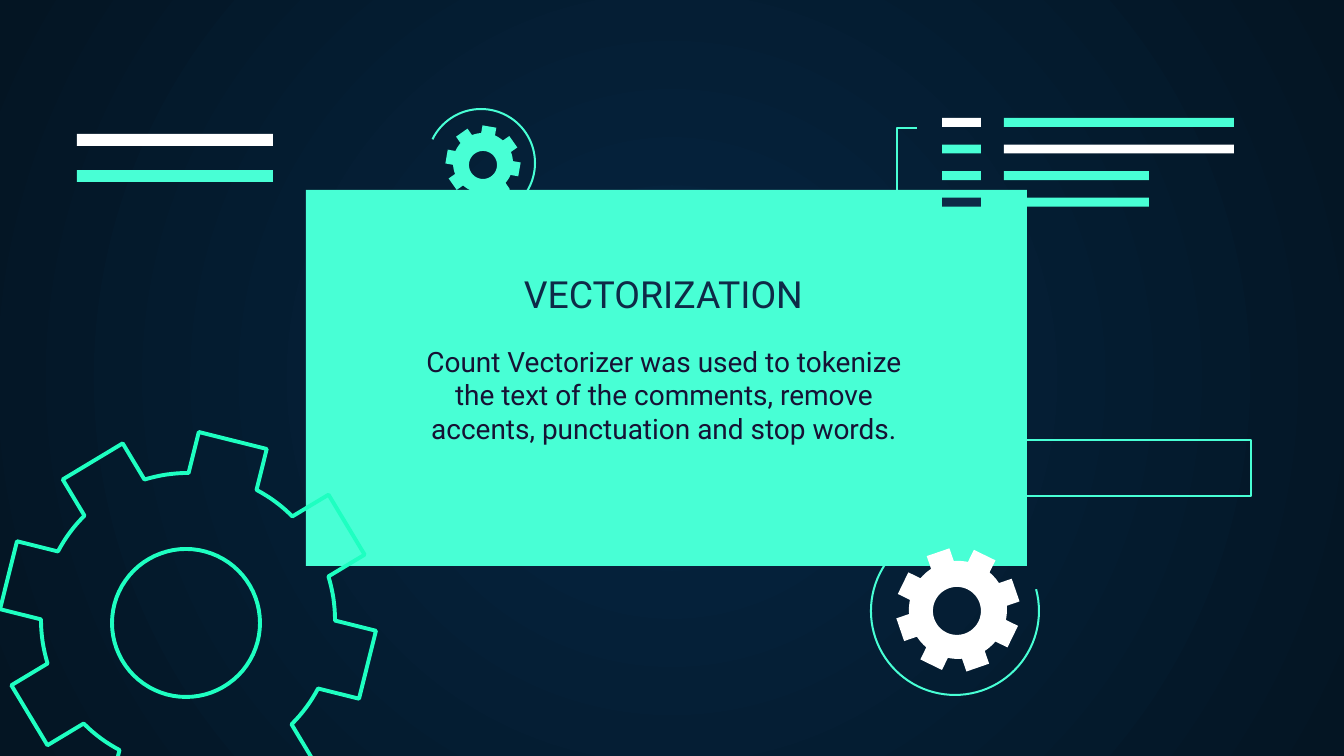
from dataclasses import dataclass
from math import asin, cos, pi, radians, sin

from lxml import etree
from pptx import Presentation
from pptx.dml.color import RGBColor
from pptx.enum.shapes import MSO_SHAPE
from pptx.enum.text import MSO_ANCHOR, PP_ALIGN
from pptx.oxml.ns import qn
from pptx.util import Emu, Pt

EMU_PER_PX = 914400 / 134.4
TEETH = 8


@dataclass(frozen=True)
class Theme:
    mint: str = "48FFD5"
    bright_mint: str = "1EFFC1"
    white: str = "FFFFFF"
    navy: str = "0E2A47"
    ink: str = "161234"
    glow: str = "052643"
    night: str = "041523"
    font: str = "Roboto"
    title_size: float = 20
    body_size: float = 15
    thin: float = 1.09
    thick: float = 2.1


THEME = Theme()


def px(value):
    return Emu(round(value * EMU_PER_PX))


def rgb(color):
    return RGBColor.from_string(color)


def style(shape, fill=None, line=None, width=THEME.thin):
    shape.shadow.inherit = False
    if fill:
        shape.fill.solid()
        shape.fill.fore_color.rgb = rgb(fill)
    else:
        shape.fill.background()
    if line:
        shape.line.color.rgb = rgb(line)
        shape.line.width = Pt(width)
    else:
        shape.line.fill.background()


def add_background(slide):
    fill = slide.background.fill
    fill.gradient()
    for stop, color in zip(fill.gradient_stops, (THEME.glow, THEME.night)):
        stop.color.rgb = rgb(color)
    gradient = slide.element.find(".//" + qn("a:gradFill"))
    gradient.remove(gradient.find(qn("a:lin")))
    path = etree.SubElement(gradient, qn("a:path"), path="circle")
    etree.SubElement(path, qn("a:fillToRect"), l="50000", t="50000", r="50000", b="50000")


def add_bar(slide, left, top, width, height, fill=None, line=None):
    bar = slide.shapes.add_shape(
        MSO_SHAPE.RECTANGLE, px(left), px(top), px(width), px(height))
    style(bar, fill, line)


def add_arc(slide, center, radius, start, end):
    x, y = center
    arc = slide.shapes.add_shape(
        MSO_SHAPE.ARC, px(x - radius), px(y - radius), px(2 * radius), px(2 * radius))
    for index, degrees in enumerate((start, end)):
        arc.adjustments[index] = degrees * 0.6
    style(arc, line=THEME.mint)


def add_outline(slide, contours, close=True, **look):
    contours = [[(px(x), px(y)) for x, y in contour] for contour in contours]
    builder = slide.shapes.build_freeform(*contours[0][0])
    for index, contour in enumerate(contours):
        if index:
            builder.move_to(*contour[0])
        builder.add_line_segments(contour[1:], close=close)
    style(builder.convert_to_shape(), **look)


def arc_points(center, radius, start, end, steps):
    x, y = center
    angles = [start + (end - start) * i / steps for i in range(steps + 1)]
    return [(x + radius * cos(a), y + radius * sin(a)) for a in angles]


def add_gear(slide, center, tip, root, half_tooth, turn, hole_center, hole, **look):
    pitch = 2 * pi / TEETH
    base = asin(half_tooth / root)
    rim = []
    for tooth in range(TEETH):
        angle = radians(turn) + tooth * pitch
        for side in (-half_tooth, half_tooth):
            rim.append((center[0] + tip * cos(angle) - side * sin(angle),
                        center[1] + tip * sin(angle) + side * cos(angle)))
        rim += arc_points(center, root, angle + base, angle + pitch - base, 8)
    add_outline(slide, [rim, arc_points(hole_center, hole, 2 * pi, 0, 72)], **look)


def add_text(slide, text, box, size, color, anchor):
    frame = slide.shapes.add_textbox(*map(px, box)).text_frame
    frame.word_wrap = True
    frame.vertical_anchor = anchor
    frame.margin_left = frame.margin_right = px(13)
    frame.margin_top = frame.margin_bottom = px(13)
    paragraph = frame.paragraphs[0]
    paragraph.alignment = PP_ALIGN.CENTER
    run = paragraph.add_run()
    run.text = text
    run.font.name = THEME.font
    run.font.size = Pt(size)
    run.font.color.rgb = rgb(color)


def add_code_lines(slide):
    rows = ((THEME.white, THEME.mint, 230), (THEME.mint, THEME.white, 230),
            (THEME.mint, THEME.mint, 145), (THEME.navy, THEME.mint, 145))
    for row, (label, line, width) in enumerate(rows):
        top = 118 + 26.6 * row
        add_bar(slide, 942, top, 39, 9, label)
        add_bar(slide, 1004, top, width, 9, line)


def main():
    prs = Presentation()
    prs.slide_width, prs.slide_height = px(1344), px(756)
    slide = prs.slides.add_slide(prs.slide_layouts[6])
    add_background(slide)

    add_bar(slide, 306, 190, 721, 376, THEME.mint)
    add_arc(slide, (481, 163), 54, 206, 41)
    add_arc(slide, (955, 611), 84, 345, 233)
    add_gear(slide, (188, 620), 185, 147, 35, 14, (186, 623), 74,
             line=THEME.bright_mint, width=THEME.thick)
    add_gear(slide, (958, 610), 61, 49, 12, 26, (957, 611), 24, fill=THEME.white)
    add_gear(slide, (483, 163), 37, 30, 7, 10, (483, 165), 14, fill=THEME.mint)

    add_code_lines(slide)
    add_outline(slide, [[(918, 209), (897, 209), (897, 128), (917, 128)]],
                close=False, line=THEME.mint)
    for top, color in ((134, THEME.white), (170, THEME.mint)):
        add_bar(slide, 77, top, 196, 12, color)
    add_bar(slide, 968, 440, 283, 56, line=THEME.mint)

    add_text(slide, "VECTORIZATION", (404, 273, 519, 56),
             THEME.title_size, THEME.navy, MSO_ANCHOR.BOTTOM)
    add_text(slide, "Count Vectorizer was used to tokenize the text of the comments, "
             "remove accents, punctuation and stop words.", (410, 331, 508, 124),
             THEME.body_size, THEME.ink, MSO_ANCHOR.TOP)
    prs.save("out.pptx")


main()
